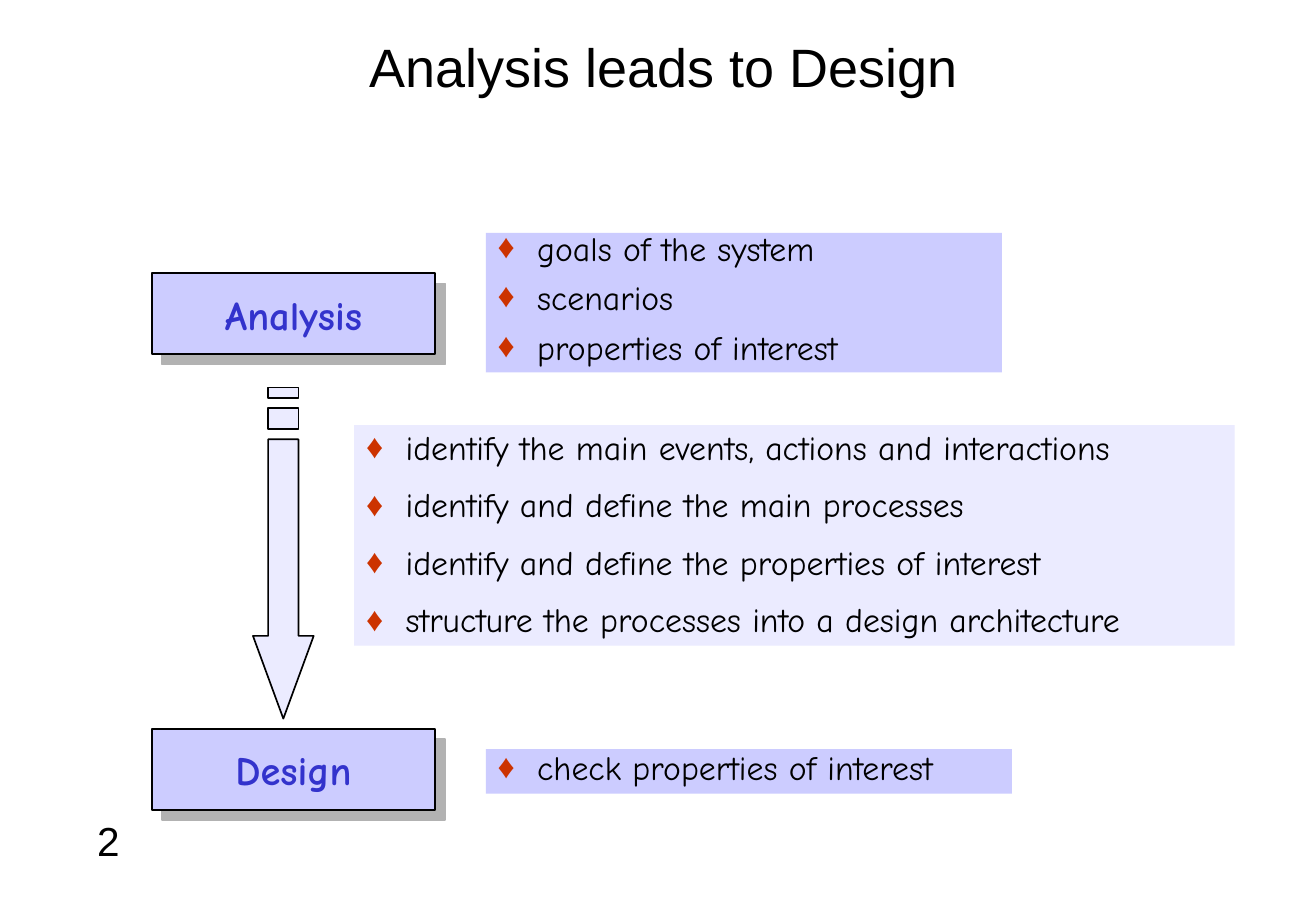
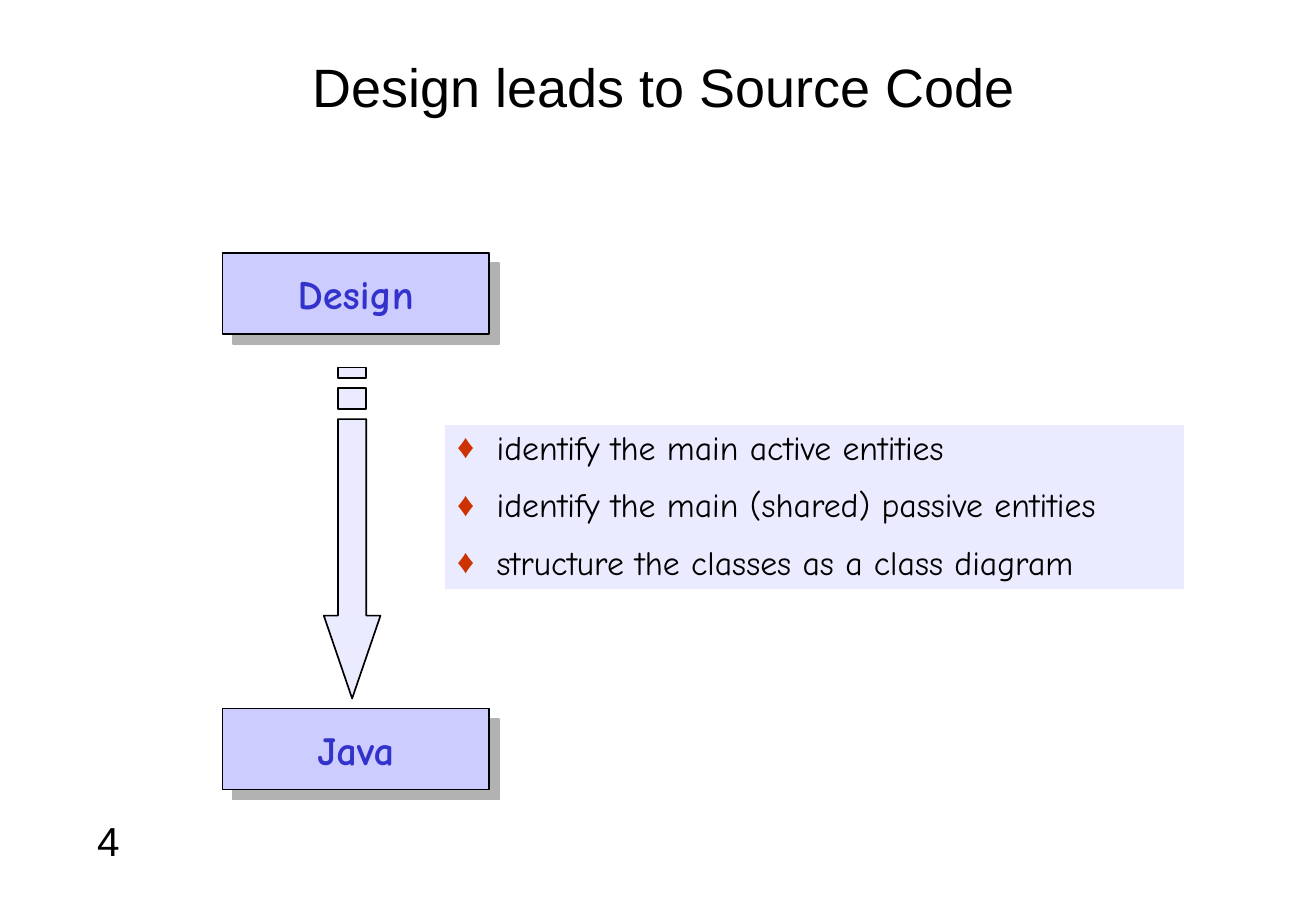
"""Two slides that lead from analysis to design and from design to source code."""
from lxml.etree import SubElement
from pptx import Presentation
from pptx.dml.color import RGBColor
from pptx.enum.shapes import MSO_SHAPE
from pptx.enum.text import MSO_ANCHOR, PP_ALIGN
from pptx.oxml.ns import qn
from pptx.util import Emu, Pt

PX = 7620
SLIDE_WIDTH, SLIDE_HEIGHT = Emu(9909175), Emu(6858000)
BLACK, LABEL, BULLET = "000000", "3333CC", "CC3300"
LILAC, PALE, SHADOW = "CCCCFF", "EBEBFF", "B2B2B2"
HEADING_FONT, BODY_FONT = "Arial", "Comic Neue"
STAGE_HEIGHT, STAGE_STEP = 80, 450
ARROW_INDENT, GAP_ABOVE_ARROW, GAP_BELOW_ARROW = 100, 33, 10
BULLET_INDENT = 39

SLIDES = [
    {
        "title": "Analysis leads to Design", "title_top": 20, "number": "2",
        "stages": ["Analysis", "Design"], "stage_box": (150, 270, 280),
        "arrow_width": 60,
        "panels": [
            {"at": (480, 230, 510, 138), "fill": LILAC, "spacing": 0.7,
             "items": ["goals of the system", "scenarios", "properties of interest"]},
            {"at": (350, 420, 870, 218), "fill": PALE, "spacing": 0.9,
             "items": ["identify the main events, actions and interactions",
                       "identify and define the main processes",
                       "identify and define the properties of interest",
                       "structure the processes into a design architecture"]},
            {"at": (480, 740, 520, 44), "fill": LILAC, "spacing": 0.8,
             "items": ["check properties of interest"]},
        ],
    },
    {
        "title": "Design leads to Source Code", "title_top": 40, "number": "4",
        "stages": ["Design", "Java"], "stage_box": (220, 250, 263),
        "arrow_width": 56,
        "panels": [
            {"at": (440, 420, 730, 162), "fill": PALE, "spacing": 0.9,
             "items": ["identify the main active entities",
                       "identify the main (shared) passive entities",
                       "structure the classes as a class diagram"]},
        ],
    },
]


def emu(*lengths):
    """Turn px lengths into EMU."""
    return [round(length * PX) for length in lengths]


def color(hex_string):
    """Turn a hex string into a colour."""
    return RGBColor.from_string(hex_string)


def paint(shape, fill, outline=None):
    """Give a shape a flat fill and an optional 1 pt outline, without shadow."""
    shape.shadow.inherit = False
    shape.fill.solid()
    shape.fill.fore_color.rgb = color(fill)
    if outline:
        shape.line.color.rgb = color(outline)
        shape.line.width = Pt(1)
    else:
        shape.line.fill.background()


def add_bullet(paragraph):
    """Hang a red diamond in front of a paragraph."""
    properties = paragraph._p.get_or_add_pPr()
    indent, = emu(BULLET_INDENT)
    properties.set("marL", str(indent))
    properties.set("indent", str(-indent))
    bullet_color = SubElement(properties, qn("a:buClr"))
    SubElement(bullet_color, qn("a:srgbClr"), val=BULLET)
    SubElement(properties, qn("a:buFont"), typeface=HEADING_FONT)
    SubElement(properties, qn("a:buChar"), char="♦")


def write(shape, *lines, size=20, font=BODY_FONT, ink=BLACK, bold=False,
          align=PP_ALIGN.LEFT, anchor=MSO_ANCHOR.TOP, bullets=False, spacing=None):
    """Write one paragraph per line into a shape."""
    frame = shape.text_frame
    frame.word_wrap = True
    frame.vertical_anchor = anchor
    for index, line in enumerate(lines):
        paragraph = frame.add_paragraph() if index else frame.paragraphs[0]
        if bullets:
            add_bullet(paragraph)
        paragraph.alignment = align
        paragraph.line_spacing = spacing
        paragraph.space_before = Pt(12.5 if index else 0)
        run = paragraph.add_run()
        run.text = line
        run.font.size, run.font.name, run.font.bold = Pt(size), font, bold
        run.font.color.rgb = color(ink)


def add_stage(slide, name, left, top, width):
    """Draw a named stage with a hard shadow."""
    stage = slide.shapes.add_shape(MSO_SHAPE.RECTANGLE, *emu(left, top, width, STAGE_HEIGHT))
    paint(stage, LILAC, BLACK)
    effects = stage._element.spPr.find(qn("a:effectLst"))
    shadow = SubElement(effects, qn("a:outerShdw"), dist=str(Pt(8.5)), dir="2700000",
                        algn="ctr", rotWithShape="0")
    SubElement(shadow, qn("a:srgbClr"), val=SHADOW)
    write(stage, name, size=24, ink=LABEL, bold=True,
          align=PP_ALIGN.CENTER, anchor=MSO_ANCHOR.MIDDLE)


def add_striped_arrow(slide, left, top, width, bottom):
    """Draw a downward arrow whose tail breaks into two stripes."""
    length = bottom - top

    def points(*fractions):
        return [tuple(emu(left + width * x, top + length * y)) for x, y in fractions]

    def stripe(start, end):
        return points((.75, start), (.75, end), (.25, end), (.25, start))

    body = points((.75, 5 / 32), (.75, .75), (1, .75), (.5, 1),
                  (0, .75), (.25, .75), (.25, 5 / 32))
    builder = slide.shapes.build_freeform(*body[0], scale=1.0)
    builder.add_line_segments(body[1:], close=True)
    for outline in (stripe(0, 1 / 32), stripe(1 / 16, 1 / 8)):
        builder.move_to(*outline[0])
        builder.add_line_segments(outline[1:], close=True)
    paint(builder.convert_to_shape(), PALE, BLACK)


def add_flow(slide, stages, stage_box, arrow_width):
    """Draw two stages, one above the other, joined by the arrow."""
    left, top, width = stage_box
    for index, name in enumerate(stages):
        add_stage(slide, name, left, top + index * STAGE_STEP, width)
    add_striped_arrow(slide, left + ARROW_INDENT, top + STAGE_HEIGHT + GAP_ABOVE_ARROW,
                      arrow_width, top + STAGE_STEP - GAP_BELOW_ARROW)


def add_panel(slide, panel):
    """Draw a filled panel with its bullet list."""
    shape = slide.shapes.add_shape(MSO_SHAPE.RECTANGLE, *emu(*panel["at"]))
    paint(shape, panel["fill"])
    write(shape, *panel["items"], bullets=True, spacing=panel["spacing"])


def add_frame(slide, title, title_top, number):
    """Add the title and the slide number."""
    title_box = slide.shapes.add_textbox(*emu(100, title_top, 1112, 90))
    write(title_box, title, size=32, font=HEADING_FONT,
          align=PP_ALIGN.CENTER, anchor=MSO_ANCHOR.MIDDLE)
    number_box = slide.shapes.add_textbox(*emu(30, 800, 100, 60))
    write(number_box, number, size=24, font=HEADING_FONT, align=PP_ALIGN.RIGHT)


def main():
    """Build and save the presentation."""
    presentation = Presentation()
    presentation.slide_width, presentation.slide_height = SLIDE_WIDTH, SLIDE_HEIGHT
    for content in SLIDES:
        slide = presentation.slides.add_slide(presentation.slide_layouts[6])
        add_frame(slide, content["title"], content["title_top"], content["number"])
        add_flow(slide, content["stages"], content["stage_box"], content["arrow_width"])
        for panel in content["panels"]:
            add_panel(slide, panel)
    presentation.save("out.pptx")


if __name__ == "__main__":
    main()
